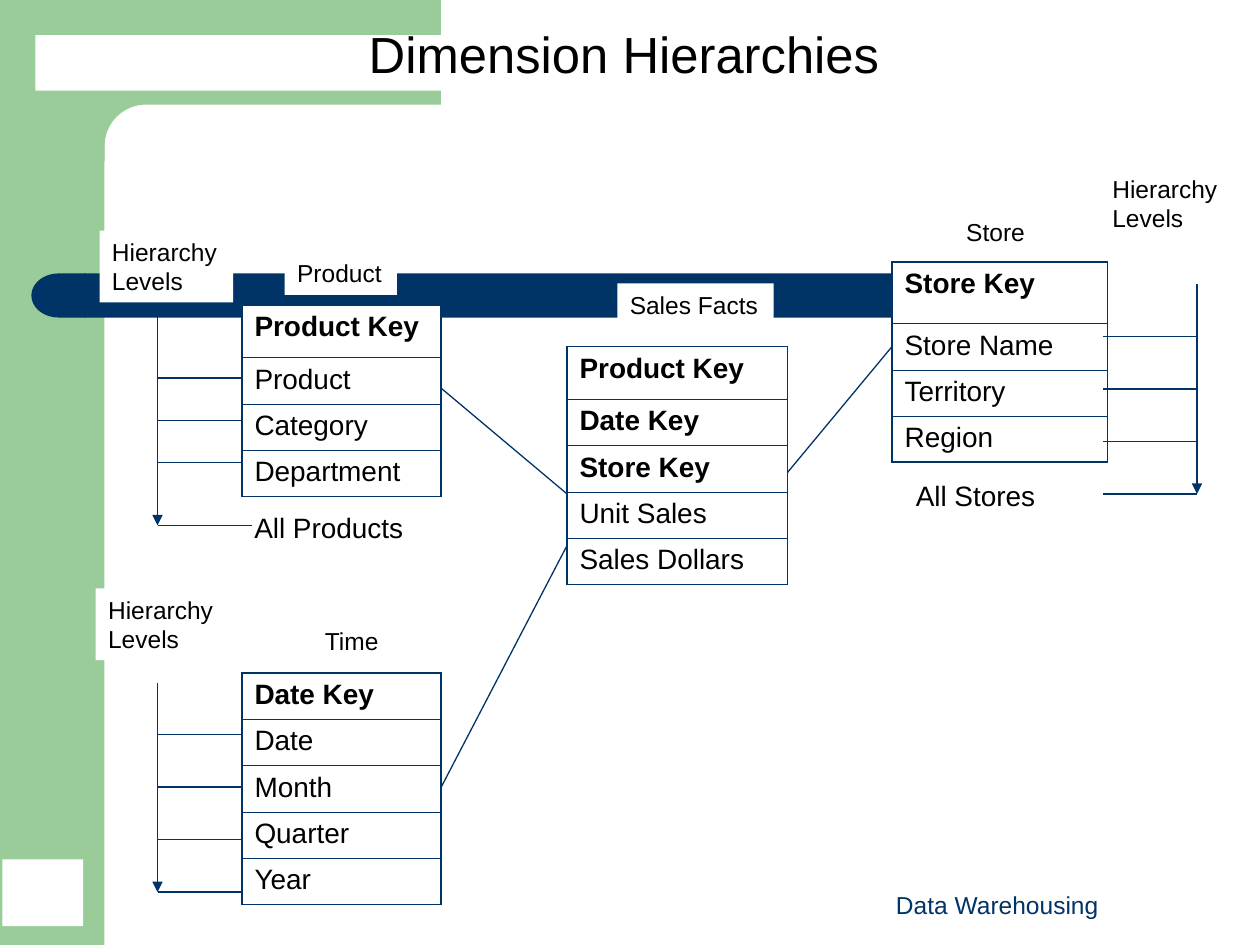
from dataclasses import dataclass
from math import cos, pi, sin

from lxml.etree import SubElement
from pptx import Presentation
from pptx.dml.color import RGBColor
from pptx.enum.shapes import MSO_CONNECTOR, MSO_SHAPE
from pptx.enum.text import MSO_ANCHOR, MSO_AUTO_SIZE, PP_ALIGN
from pptx.oxml.ns import qn
from pptx.util import Inches, Pt


@dataclass(frozen=True)
class Theme:
    font: str = "Arial"
    green: str = "99CC99"
    navy: str = "003366"
    white: str = "FFFFFF"
    black: str = "000000"
    title: int = 29
    body: int = 16
    label: int = 14
    line: float = 0.75
    outer: float = 1.08
    inner: float = 0.45


THEME = Theme()


def write(frame, text, size=THEME.label, color=THEME.black, bold=False,
          align=PP_ALIGN.LEFT, anchor=MSO_ANCHOR.TOP, wrap=True,
          before=0, spacing=None):
    frame.word_wrap = wrap
    frame.vertical_anchor = anchor
    for i, part in enumerate(text.split("\n")):
        para = frame.add_paragraph() if i else frame.paragraphs[0]
        para.alignment = align
        para.space_before = Pt(before)
        para.line_spacing = spacing
        run = para.add_run()
        run.text = part
        run.font.name = THEME.font
        run.font.size = Pt(size)
        run.font.bold = bold
        run.font.color.rgb = RGBColor.from_string(color)


def paint(shape, color):
    shape.shadow.inherit = False
    shape.fill.solid()
    shape.fill.fore_color.rgb = RGBColor.from_string(color)
    shape.line.fill.background()


def add_block(slide, x, y, w, h, color=THEME.white, kind=MSO_SHAPE.RECTANGLE):
    shape = slide.shapes.add_shape(kind, Inches(x), Inches(y), Inches(w), Inches(h))
    paint(shape, color)
    return shape


def add_label(slide, text, x, y, w, h=0.34, **form):
    frame = add_block(slide, x, y, w, h).text_frame
    write(frame, text, **{"wrap": False, **form})
    frame.auto_size = MSO_AUTO_SIZE.SHAPE_TO_FIT_TEXT


def add_corner(slide):
    # Green top band whose inner corner is a quarter circle
    mid, rad, steps = 1.16, 0.33, 16
    turns = [pi / 2 * i / steps for i in range(steps + 1)]
    arc = [(mid - rad * sin(t), mid - rad * cos(t)) for t in turns]
    points = [(3.5, 0.83), *arc, (0.83, 1.28), (0.5, 1.28), (0.5, 0)]
    form = slide.shapes.build_freeform(Inches(3.5), 0, scale=1.0)
    form.add_line_segments([(Inches(x), Inches(y)) for x, y in points])
    paint(form.convert_to_shape(), THEME.green)


def add_line(slide, x1, y1, x2, y2, arrow=False):
    line = slide.shapes.add_connector(
        MSO_CONNECTOR.STRAIGHT, Inches(x1), Inches(y1), Inches(x2), Inches(y2))
    line.line.color.rgb = RGBColor.from_string(THEME.navy)
    line.line.width = Pt(THEME.line)
    props = line.element.spPr
    if arrow:
        SubElement(props.find(qn("a:ln")), qn("a:tailEnd"), type="triangle")
    SubElement(props, qn("a:effectLst"))


def add_ladder(slide, x, top, foot, end, first, last, count):
    # Level arrow with evenly spaced rungs to the table
    add_line(slide, x, top, x, foot, arrow=True)
    for i in range(count):
        y = first + (last - first) * i / (count - 1)
        add_line(slide, x, y, end, y)


def set_edges(cell, first, last):
    # Borders come before the fill in the cell properties
    props = cell._tc.get_or_add_tcPr()
    widths = {
        "L": THEME.outer,
        "R": THEME.outer,
        "T": THEME.outer if first else THEME.inner,
        "B": THEME.outer if last else THEME.inner,
    }
    for i, (side, width) in enumerate(widths.items()):
        edge = SubElement(props, qn(f"a:ln{side}"), w=str(Pt(width)))
        fill = SubElement(edge, qn("a:solidFill"))
        SubElement(fill, qn("a:srgbClr"), val=THEME.navy)
        props.insert(i, edge)


def add_grid(slide, names, x, y, w, h, head, keys=1, filled=False):
    count = len(names)
    table = slide.shapes.add_table(
        count, 1, Inches(x), Inches(y), Inches(w), Inches(h)).table
    table.first_row = table.horz_banding = False
    for i, name in enumerate(names):
        table.rows[i].height = Inches((h - head) / (count - 1) if i else head)
        cell = table.cell(i, 0)
        write(cell.text_frame, name, size=THEME.body, bold=i < keys, before=4)
        if filled:
            cell.fill.solid()
            cell.fill.fore_color.rgb = RGBColor.from_string(THEME.white)
        else:
            cell.fill.background()
        set_edges(cell, i == 0, i == count - 1)


def add_frame(slide):
    add_block(slide, 0, 0, 0.83, 7.5, THEME.green)
    add_corner(slide)
    bar = add_block(slide, 0.67, 2.17, 7.67, 0.35, THEME.navy,
                    MSO_SHAPE.ROUNDED_RECTANGLE)
    bar.adjustments[0] = 0
    cap = add_block(slide, 0.25, 2.17, 0.43, 0.35, THEME.navy,
                    MSO_SHAPE.FLOWCHART_DELAY)
    cap.element.spPr.xfrm.set("flipH", "1")
    add_block(slide, 0.02, 6.82, 0.64, 0.53)


def main():
    deck = Presentation()
    deck.slide_width, deck.slide_height = Inches(10), Inches(7.5)
    slide = deck.slides.add_slide(deck.slide_layouts[6])

    # Backdrop and title
    add_frame(slide)
    title = add_block(slide, 0.28, 0.28, 9.35, 0.44)
    write(title.text_frame, "Dimension Hierarchies", size=THEME.title,
          align=PP_ALIGN.CENTER, anchor=MSO_ANCHOR.BOTTOM, spacing=0.9)

    # Dimension and fact tables
    add_grid(slide, ["Product Key", "Product", "Category", "Department"],
             1.92, 2.42, 1.58, 1.52, 0.42, filled=True)
    add_grid(slide, ["Date Key", "Date", "Month", "Quarter", "Year"],
             1.92, 5.34, 1.58, 1.84, 0.37)
    add_grid(slide, ["Store Key", "Store Name", "Territory", "Region"],
             7.08, 2.08, 1.71, 1.59, 0.49, filled=True)
    add_grid(slide, ["Product Key", "Date Key", "Store Key", "Unit Sales",
                     "Sales Dollars"],
             4.5, 2.75, 1.75, 1.89, 0.42, keys=3)

    # Table names and top levels
    add_label(slide, "Product", 2.26, 2, 0.89)
    add_label(slide, "Store", 7.57, 1.67, 0.69)
    add_label(slide, "Sales Facts", 4.9, 2.25, 1.24)
    add_label(slide, "Time", 2.48, 4.92, 0.65)
    add_label(slide, "All Products", 1.92, 4, 1.4, 0.37, size=THEME.body)
    add_label(slide, "All Stores", 7.17, 3.75, 1.17, 0.37, size=THEME.body)

    # Links from the dimensions to the facts
    add_line(slide, 3.5, 3.08, 4.5, 3.92)
    add_line(slide, 7.08, 2.75, 6.25, 3.75)
    add_line(slide, 3.5, 6.25, 4.5, 4.33)

    # Hierarchy levels
    add_ladder(slide, 1.25, 2.5, 4.17, 1.92, 3, 3.67, 3)
    add_line(slide, 1.25, 4.17, 2, 4.17)
    add_ladder(slide, 1.25, 5.42, 7.08, 1.92, 5.83, 7.08, 4)
    add_ladder(slide, 9.5, 2.25, 3.92, 8.75, 2.67, 3.92, 4)
    for x, y, w, wrap in [(0.79, 1.83, 1.06, False), (0.76, 4.67, 1.06, False),
                          (8.73, 1.33, 1.27, True)]:
        add_label(slide, "Hierarchy\nLevels", x, y, w, 0.57, wrap=wrap)

    # Footer
    foot = slide.shapes.add_textbox(
        Inches(6.33), Inches(6.83), Inches(3.17), Inches(0.52))
    write(foot.text_frame, "Data Warehousing", color=THEME.navy,
          align=PP_ALIGN.CENTER, anchor=MSO_ANCHOR.BOTTOM)

    deck.save("out.pptx")


if __name__ == "__main__":
    main()
